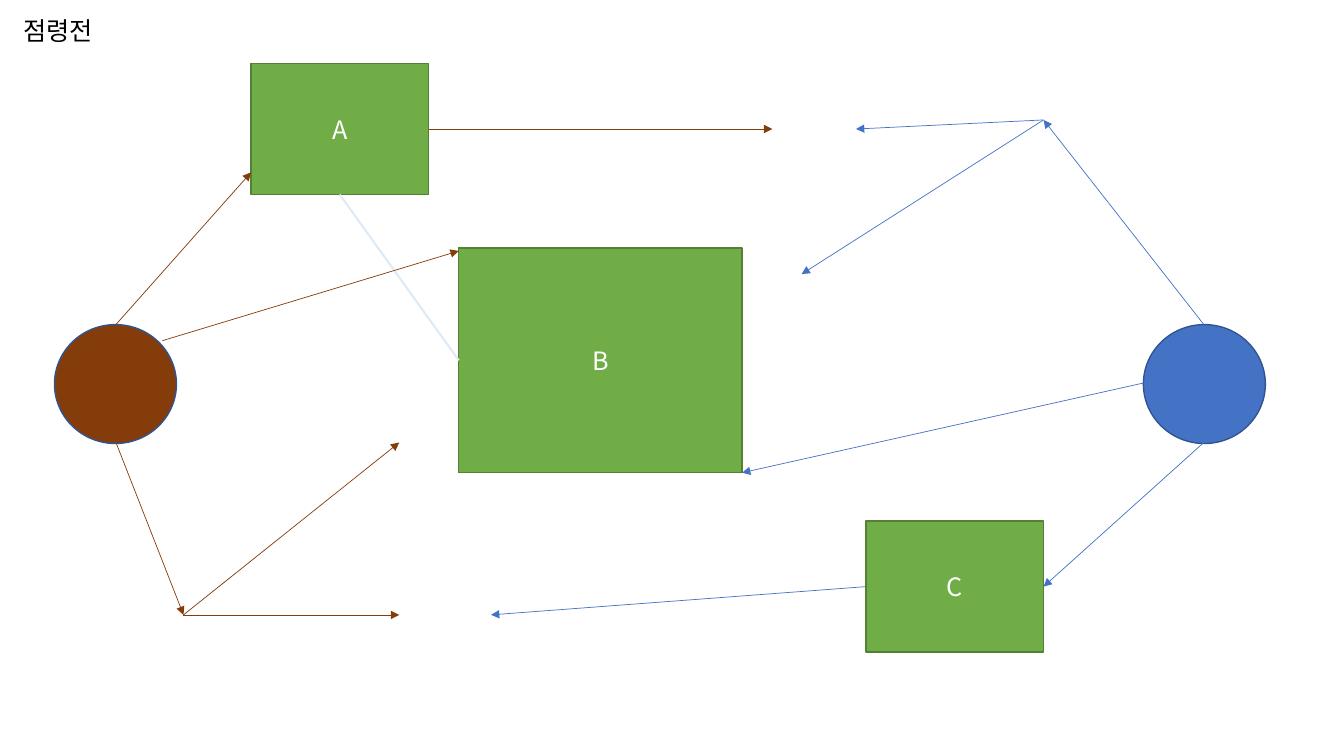
from dataclasses import dataclass
from typing import Optional

from lxml import etree
from pptx import Presentation
from pptx import util as u
from pptx.dml import color
from pptx.enum import shapes, text
from pptx.oxml import ns

FONT = "Noto Sans CJK KR"
HUES = {
    "blue": "4472C4", "navy": "325491", "brown": "843C0B", "green": "70AD47",
    "moss": "538035", "pale": "DEEBF7", "white": "FFFFFF", "black": "000000",
}
Point = tuple[float, float]
TOP, LEFT, BOTTOM, RIGHT = range(4)


@dataclass
class Base:
    left: float
    hue: str


@dataclass
class Zone:
    name: str
    left: float
    top: float
    width: float
    height: float


@dataclass
class Link:
    start: Point
    end: Point
    hue: str
    begin: Optional[tuple[str, int]] = None
    finish: Optional[tuple[str, int]] = None
    weight: float = 0.5
    arrow: bool = True


BASES = [Base(11.34, "blue"), Base(0.54, "brown")]
ZONES = [
    Zone("A", 2.49, 0.63, 1.76, 1.3),
    Zone("B", 4.55, 2.46, 2.81, 2.23),
    Zone("C", 8.59, 5.17, 1.76, 1.3),
]
NORTH, SOUTH = (10.35, 1.19), (1.82, 6.1)
LINKS = [
    Link((3.37, 1.93), (4.55, 3.58), "pale", ("A", BOTTOM), ("B", LEFT), 1.5, False),
    Link((1.15, 3.22), (2.49, 1.71), "brown"),
    Link((11.94, 3.22), NORTH, "blue"),
    Link(NORTH, (8.49, 1.28), "blue"),
    Link(NORTH, (7.95, 2.72), "blue"),
    Link((4.25, 1.28), (7.66, 1.28), "brown", begin=("A", RIGHT)),
    Link((1.61, 3.38), (4.55, 2.49), "brown"),
    Link((11.34, 3.8), (7.36, 4.69), "blue"),
    Link((11.94, 4.39), (10.35, 5.82), "blue", finish=("C", RIGHT)),
    Link((1.15, 4.39), SOUTH, "brown"),
    Link(SOUTH, (3.96, 4.39), "brown"),
    Link(SOUTH, (3.96, 6.1), "brown"),
    Link((8.59, 5.82), (4.87, 6.1), "blue", begin=("C", LEFT)),
]


def tint(hue: str) -> color.RGBColor:
    return color.RGBColor.from_string(HUES[hue])


def write(frame, words: str, hue: str, align) -> None:
    para = frame.paragraphs[0]
    para.alignment = align
    run = para.add_run()
    run.text = words
    run.font.size = u.Pt(18)
    run.font.name = FONT
    run.font.color.rgb = tint(hue)
    east = etree.SubElement(run.font._element, ns.qn("a:ea"))
    east.set("typeface", FONT)


def draw_shape(slide, kind, box: tuple, fill: str, edge: str):
    shape = slide.shapes.add_shape(kind, *map(u.Inches, box))
    shape.shadow.inherit = False
    shape.fill.solid()
    shape.fill.fore_color.rgb = tint(fill)
    shape.line.color.rgb = tint(edge)
    shape.line.width = u.Pt(1)
    return shape


def draw_base(slide, base: Base) -> None:
    box = (base.left, 3.22, 1.21, 1.18)
    draw_shape(slide, shapes.MSO_SHAPE.OVAL, box, base.hue, "navy")


def draw_zone(slide, zone: Zone):
    box = (zone.left, zone.top, zone.width, zone.height)
    shape = draw_shape(slide, shapes.MSO_SHAPE.RECTANGLE, box, "green", "moss")
    shape.text_frame.vertical_anchor = text.MSO_ANCHOR.MIDDLE
    write(shape.text_frame, zone.name, "white", text.PP_ALIGN.CENTER)
    return shape


def draw_link(slide, link: Link, zones: dict) -> None:
    ends = map(u.Inches, link.start + link.end)
    line = slide.shapes.add_connector(shapes.MSO_CONNECTOR.STRAIGHT, *ends)
    if link.begin:
        name, side = link.begin
        line.begin_connect(zones[name], side)
    if link.finish:
        name, side = link.finish
        line.end_connect(zones[name], side)
    line.line.color.rgb = tint(link.hue)
    line.line.width = u.Pt(link.weight)
    if link.arrow:
        tail = etree.SubElement(line.line._get_or_add_ln(), ns.qn("a:tailEnd"))
        tail.set("type", "triangle")
    etree.SubElement(line._element.spPr, ns.qn("a:effectLst"))


def draw_title(slide, words: str) -> None:
    title = slide.shapes.title
    title.left, title.top = u.Inches(0.13), u.Inches(0.1)
    title.width, title.height = u.Inches(3.23), u.Inches(0.4)
    frame = title.text_frame
    frame.word_wrap = True
    frame.auto_size = text.MSO_AUTO_SIZE.SHAPE_TO_FIT_TEXT
    frame.vertical_anchor = text.MSO_ANCHOR.TOP
    write(frame, words, "black", text.PP_ALIGN.LEFT)


def main() -> None:
    deck = Presentation()
    deck.slide_width, deck.slide_height = u.Inches(13.33), u.Inches(7.5)
    slide = deck.slides.add_slide(deck.slide_layouts[5])
    draw_title(slide, "점령전")
    for base in BASES:
        draw_base(slide, base)
    zones = {zone.name: draw_zone(slide, zone) for zone in ZONES}
    for link in LINKS:
        draw_link(slide, link, zones)
    deck.save("out.pptx")


if __name__ == "__main__":
    main()
